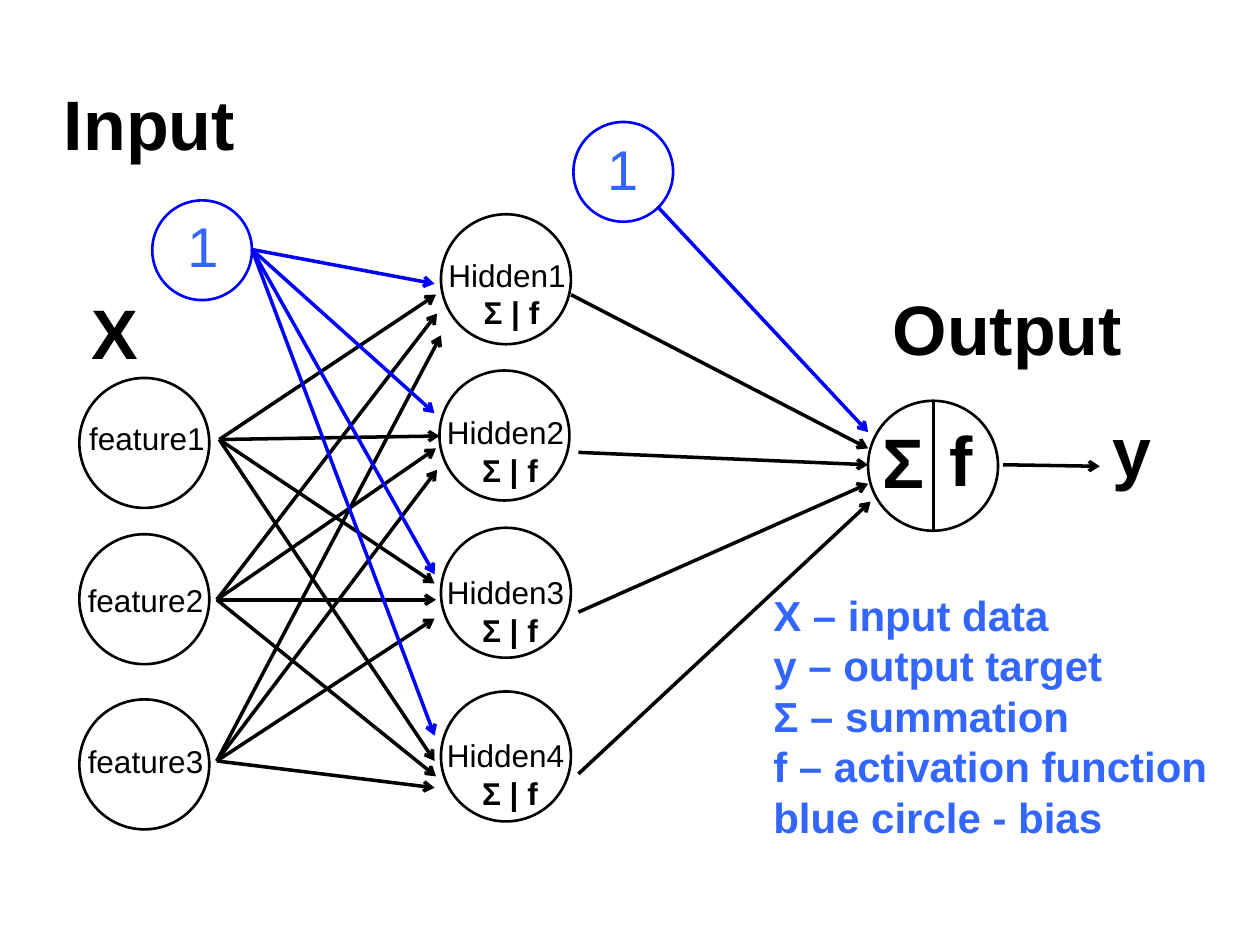
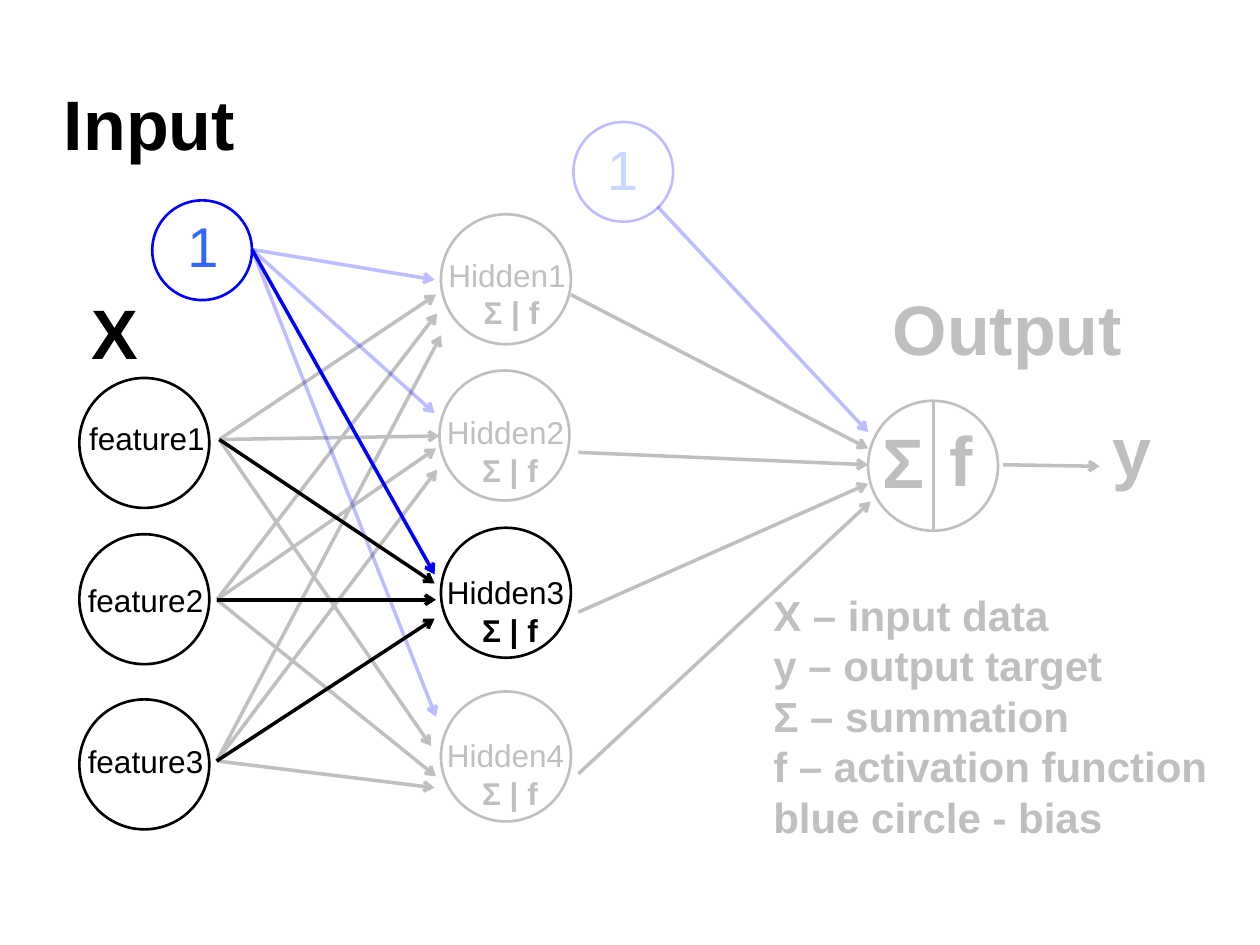
from dataclasses import dataclass

from lxml import etree
from pptx import Presentation
from pptx.dml.color import RGBColor
from pptx.enum.shapes import MSO_CONNECTOR, MSO_SHAPE
from pptx.enum.text import MSO_AUTO_SIZE
from pptx.oxml.ns import qn
from pptx.util import Cm, Pt

ELLIPSE = MSO_SHAPE.OVAL
STRAIGHT = MSO_CONNECTOR.STRAIGHT
GROW = MSO_AUTO_SIZE.SHAPE_TO_FIT_TEXT


@dataclass(frozen=True)
class Theme:
    font: str = "Arial"
    ink: str = "000000"
    muted: str = "BFBFBF"
    bias_line: str = "0000FF"
    accent: str = "3366FF"
    faded_percent: int = 25
    heading: int = 40
    bias: int = 32
    legend: int = 24
    label: int = 18
    outline: float = 1.5
    link: float = 2


THEME = Theme()

# Sizes and positions in centimetres
NEURON_SIZE = 2.62
BIAS_SIZE = 2.01
FEATURE_LABEL_SIZE = (2.87, 1.02)
HIDDEN_LABEL_SIZE = (2.9, 1.8)
BIAS_LABEL_SIZE = (1.14, 1.63)
HEADING_HEIGHT = 1.96
FORMULA_INDENT = 0.71

# Circle corner, then label corner
FEATURES = [
    ((1.6, 7.62), (1.55, 8.33)),
    ((1.6, 10.77), (1.52, 11.58)),
    ((1.6, 14.1), (1.52, 14.83)),
]
HIDDEN = [
    ((8.89, 4.32), (8.79, 5.03)),
    ((8.86, 7.47), (8.76, 8.2)),
    ((8.89, 10.64), (8.76, 11.43)),
    ((8.89, 13.94), (8.76, 14.71)),
]
INPUT_BIAS = ((3.07, 4.04), (3.53, 4.14))
OUTPUT_BIAS = ((11.56, 2.46), (11.99, 2.59))
OUTPUT_NEURON = (17.5, 8.08)

# Start of each fan of arrows, then its tip at each hidden neuron
FEATURE_LINKS = [
    ((4.42, 8.86), [(8.79, 5.94), (8.86, 8.79), (8.76, 11.76), (8.76, 15.34)]),
    ((4.37, 12.09), [(8.81, 6.32), (8.79, 9.04), (8.79, 12.09), (8.79, 15.65)]),
    ((4.37, 15.34), [(8.89, 6.76), (8.81, 9.47), (8.76, 12.47), (8.76, 15.88)]),
]
BIAS_LINKS = ((5.08, 5.03), [(8.76, 5.72), (8.76, 8.33), (8.76, 11.58), (8.76, 14.83)])
OUTPUT_LINKS = [
    ((11.51, 5.94), (17.5, 9.04)),
    ((11.66, 9.12), (17.5, 9.37)),
    ((11.66, 12.34), (17.5, 9.75)),
    ((11.66, 15.6), (17.55, 10.11)),
]
OUTPUT_BIAS_LINK = ((13.26, 4.17), (17.5, 8.71))
RESULT_LINK = ((20.22, 9.37), (22.17, 9.4))
DIVIDER = ((18.82, 8.08), (18.82, 10.69))

# Tips that sit elsewhere when one neuron is in focus
FOCUS_TIPS = {
    (8.76, 15.34): (8.69, 15.04),
    (8.76, 5.72): (8.76, 5.64),
    (8.76, 14.83): (8.79, 14.45),
}

# Text, left, top, width
INPUT_HEADINGS = [("Input", 1.04, 1.5, 3.99), ("X", 1.6, 5.72, 1.47)]
OUTPUT_HEADINGS = [
    ("Output", 17.75, 5.64, 5.18),
    ("Σ", 17.55, 8.31, 1.37),
    ("f", 18.9, 8.28, 1.02),
    ("y", 22.17, 8.1, 1.32),
]
LEGEND = [
    "X – input data",
    "y – output target",
    "Σ – summation",
    "f – activation function",
    "blue circle - bias",
]


def fade(element):
    """Make every colour inside an element partly transparent."""
    for colour in list(element.iter(qn("a:srgbClr"))):
        alpha = etree.SubElement(colour, qn("a:alpha"))
        alpha.set("val", str(THEME.faded_percent * 1000))


def add_text(parent, corner, size, lines, colour, points, bold=False):
    """Add one paragraph for each line; returns the paragraphs."""
    box = parent.shapes.add_textbox(*map(Cm, corner + size))
    frame = box.text_frame
    frame.word_wrap = False
    frame.auto_size = GROW
    for number, line in enumerate(lines):
        para = frame.add_paragraph() if number else frame.paragraphs[0]
        span = para.add_run()
        span.text = line
        font_format = {"name": THEME.font, "size": Pt(points), "bold": bold}
        for name, value in font_format.items():
            setattr(span.font, name, value)
        span.font.color.rgb = RGBColor.from_string(colour)
    return frame.paragraphs


def add_headings(page, headings, colour):
    for text, left, top, width in headings:
        add_text(page, (left, top), (width, HEADING_HEIGHT), [text],
                 colour, THEME.heading, True)


def add_circle(parent, corner, size, colour):
    circle = parent.shapes.add_shape(ELLIPSE, *map(Cm, corner + (size, size)))
    circle.shadow.inherit = False
    circle.fill.background()
    circle.line.color.rgb = RGBColor.from_string(colour)
    circle.line.width = Pt(THEME.outline)


def add_link(page, start, end, colour, arrow=True, faded=False):
    link = page.shapes.add_connector(STRAIGHT, *map(Cm, start + end))
    link.line.color.rgb = RGBColor.from_string(colour)
    link.line.width = Pt(THEME.link)
    properties = link._element.spPr
    if arrow:
        tail = etree.SubElement(properties.find(qn("a:ln")), qn("a:tailEnd"))
        tail.set("type", "arrow")
    etree.SubElement(properties, qn("a:effectLst"))
    if faded:
        fade(properties)


def add_bias(page, corners, faded=False):
    circle_corner, label_corner = corners
    group = page.shapes.add_group_shape()
    add_circle(group, circle_corner, BIAS_SIZE, THEME.bias_line)
    add_text(group, label_corner, BIAS_LABEL_SIZE, ["1"], THEME.accent, THEME.bias)
    if faded:
        fade(group._element)


def add_feature(page, number, corners):
    add_circle(page, corners[0], NEURON_SIZE, THEME.ink)
    add_text(page, corners[1], FEATURE_LABEL_SIZE, [f"feature{number}"],
             THEME.ink, THEME.label)


def add_hidden(page, number, corners, colour):
    add_circle(page, corners[0], NEURON_SIZE, colour)
    formula = add_text(page, corners[1], HIDDEN_LABEL_SIZE,
                       [f"Hidden{number}", "Σ | f"], colour, THEME.label)[1]
    formula._p.get_or_add_pPr().set("marL", str(Cm(FORMULA_INDENT)))
    formula.runs[0].font.bold = True


def add_hidden_links(page, number, colour, faded, in_focus_view):
    """Add all arrows that end at one hidden neuron."""
    fans = [(fan, colour, False) for fan in FEATURE_LINKS]
    fans.append((BIAS_LINKS, THEME.bias_line, faded))
    for (start, tips), link_colour, link_faded in fans:
        tip = tips[number]
        if in_focus_view:
            tip = FOCUS_TIPS.get(tip, tip)
        add_link(page, start, tip, link_colour, faded=link_faded)


def draw_network(deck, focus=None):
    """Draw the network; a focus number mutes all but that hidden neuron."""
    page = deck.slides.add_slide(deck.slide_layouts[6])
    muted = focus is not None
    output_colour = THEME.muted if muted else THEME.ink

    # Input side
    add_headings(page, INPUT_HEADINGS, THEME.ink)
    add_bias(page, INPUT_BIAS)
    for number, corners in enumerate(FEATURES, 1):
        add_feature(page, number, corners)

    # Output side
    add_circle(page, OUTPUT_NEURON, NEURON_SIZE, output_colour)
    add_link(page, *DIVIDER, output_colour, arrow=False)
    add_headings(page, OUTPUT_HEADINGS, output_colour)
    add_bias(page, OUTPUT_BIAS, faded=muted)
    for start, end in OUTPUT_LINKS + [RESULT_LINK]:
        add_link(page, start, end, output_colour)
    add_link(page, *OUTPUT_BIAS_LINK, THEME.bias_line, faded=muted)

    # Hidden layer, with the neuron in focus on top
    order = sorted(range(len(HIDDEN)), key=lambda index: index + 1 == focus)
    for index in order:
        faded = muted and index + 1 != focus
        colour = THEME.muted if faded else THEME.ink
        add_hidden(page, index + 1, HIDDEN[index], colour)
        add_hidden_links(page, index, colour, faded, muted)

    # Legend
    add_text(page, (15.34, 11.76), (9.35, 6.4), LEGEND,
             THEME.muted if muted else THEME.accent, THEME.legend, True)


def main():
    deck = Presentation()
    deck.slide_width = Cm(25.4)
    deck.slide_height = Cm(19.05)
    draw_network(deck)
    draw_network(deck, focus=3)
    deck.save("out.pptx")


if __name__ == "__main__":
    main()
